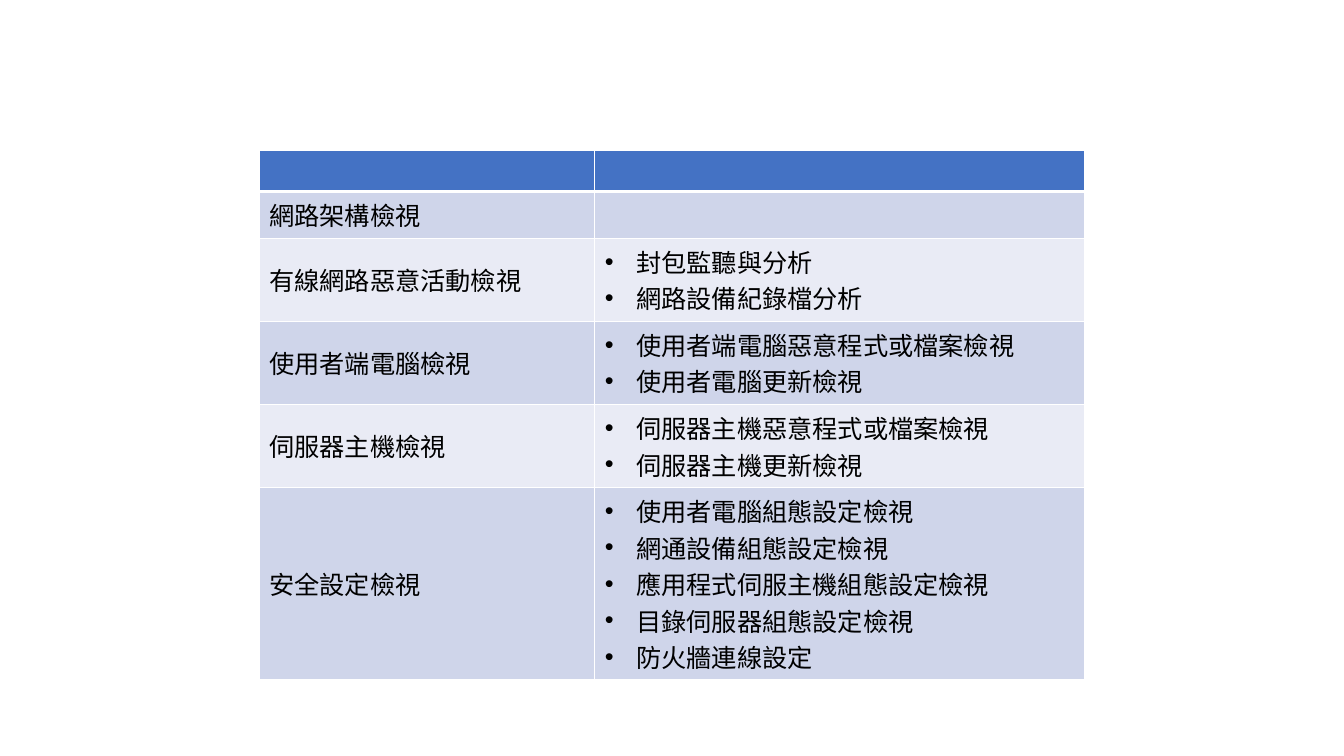
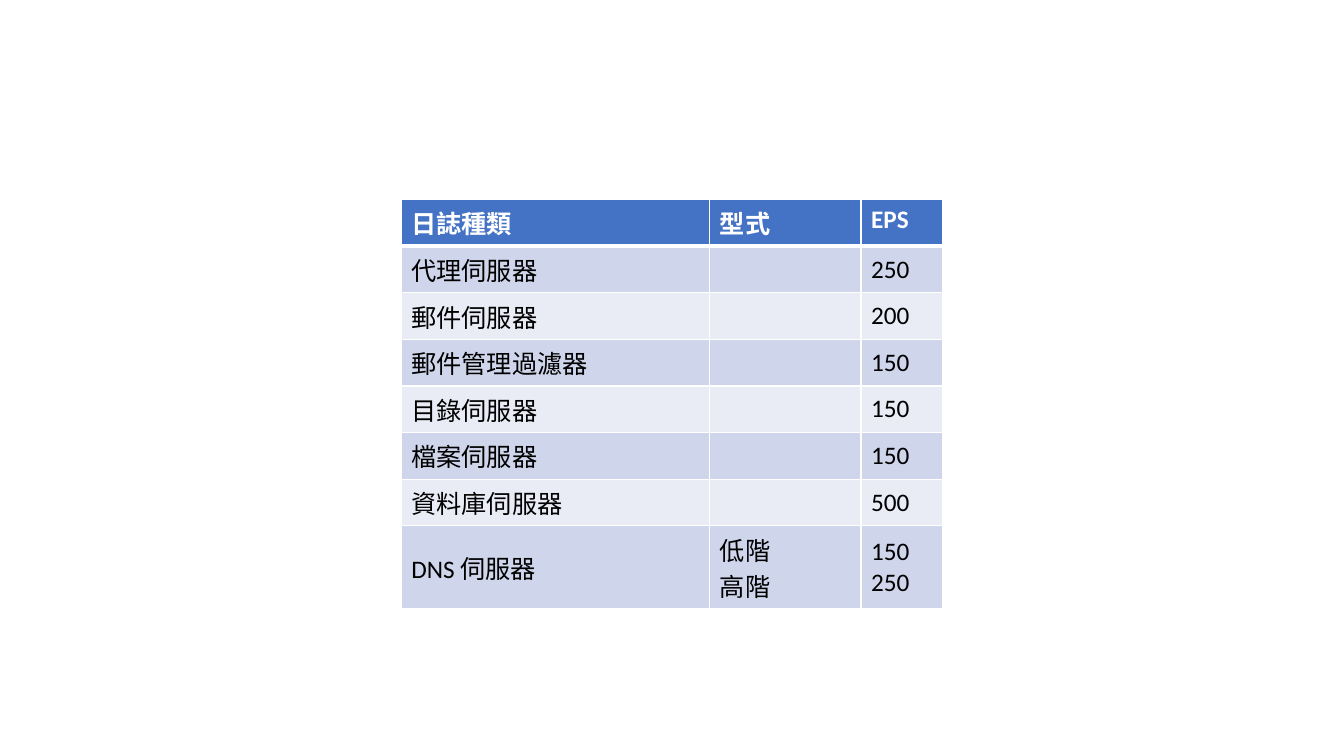
from lxml import etree
from pptx import Presentation
from pptx import util as u
from pptx.dml.color import RGBColor
from pptx.enum import text
from pptx.oxml import ns

HEADER, BANDS = "4472C4", ("E9EBF5", "CFD5EA")
WHITE, BLACK = "FFFFFF", "000000"
ROW_HEIGHT = u.Inches(0.41)
BULLET_INDENT = u.Inches(0.31)


def paint(fill, color):
    fill.solid()
    fill.fore_color.rgb = RGBColor.from_string(color)


def add_border(cell, side, points):
    line = etree.SubElement(cell._tc.get_or_add_tcPr(), ns.qn(f"a:ln{side}"), w=str(u.Pt(points)))
    solid = etree.SubElement(line, ns.qn("a:solidFill"))
    etree.SubElement(solid, ns.qn("a:srgbClr"), val=WHITE)


reviews = [
    ("", ""),
    ("網路架構檢視", ""),
    ("有線網路惡意活動檢視", "封包監聽與分析\n網路設備紀錄檔分析"),
    ("使用者端電腦檢視", "使用者端電腦惡意程式或檔案檢視\n使用者電腦更新檢視"),
    ("伺服器主機檢視", "伺服器主機惡意程式或檔案檢視\n伺服器主機更新檢視"),
    ("安全設定檢視", "使用者電腦組態設定檢視\n網通設備組態設定檢視\n"
     "應用程式伺服主機組態設定檢視\n目錄伺服器組態設定檢視\n防火牆連線設定"),
]
log_rates = [
    ("日誌種類", "型式", "EPS"),
    ("代理伺服器", "", "250"),
    ("郵件伺服器", "", "200"),
    ("郵件管理過濾器", "", "150"),
    ("目錄伺服器", "", "150"),
    ("檔案伺服器", "", "150"),
    ("資料庫伺服器", "", "500"),
    ("DNS 伺服器", "低階\n高階", "150\n250"),
]
tables = [
    (reviews, 2.57, 1.49, (3.33, 4.86), 1),
    (log_rates, 3.98, 1.98, (3.06, 1.5, 0.81), None),
]

deck = Presentation()
deck.slide_width, deck.slide_height = u.Inches(13.33), u.Inches(7.5)

for rows, left, top, widths, bullet_column in tables:
    page = deck.slides.add_slide(deck.slide_layouts[6])
    table = page.shapes.add_table(
        len(rows), len(widths), u.Inches(left), u.Inches(top),
        u.Inches(sum(widths)), ROW_HEIGHT * len(rows)).table
    for column, width in zip(table.columns, widths):
        column.width = u.Inches(width)

    for row_index, row in enumerate(rows):
        is_header = row_index == 0
        for column_index, words in enumerate(row):
            cell = table.cell(row_index, column_index)
            cell.text = words
            cell.vertical_anchor = text.MSO_ANCHOR.TOP if is_header else text.MSO_ANCHOR.MIDDLE
            for side in "LRTB":
                heavy = (row_index, side) in ((0, "B"), (1, "T"))
                add_border(cell, side, 3 if heavy else 1)
            paint(cell.fill, HEADER if is_header else BANDS[row_index % 2])

            for para in cell.text_frame.paragraphs:
                para.font.name = "Calibri"
                para.font.size = u.Pt(18)
                para.font.bold = is_header
                paint(para.font.fill, WHITE if is_header else BLACK)
                if words and column_index == bullet_column:
                    properties = para._p.get_or_add_pPr()
                    properties.set("marL", str(BULLET_INDENT))
                    properties.set("indent", str(-BULLET_INDENT))
                    bullet_font = etree.Element(ns.qn("a:buFont"), typeface="Arial")
                    bullet = etree.Element(ns.qn("a:buChar"), char="•")
                    properties.insert(0, bullet_font)
                    properties.insert(1, bullet)

deck.save("out.pptx")
